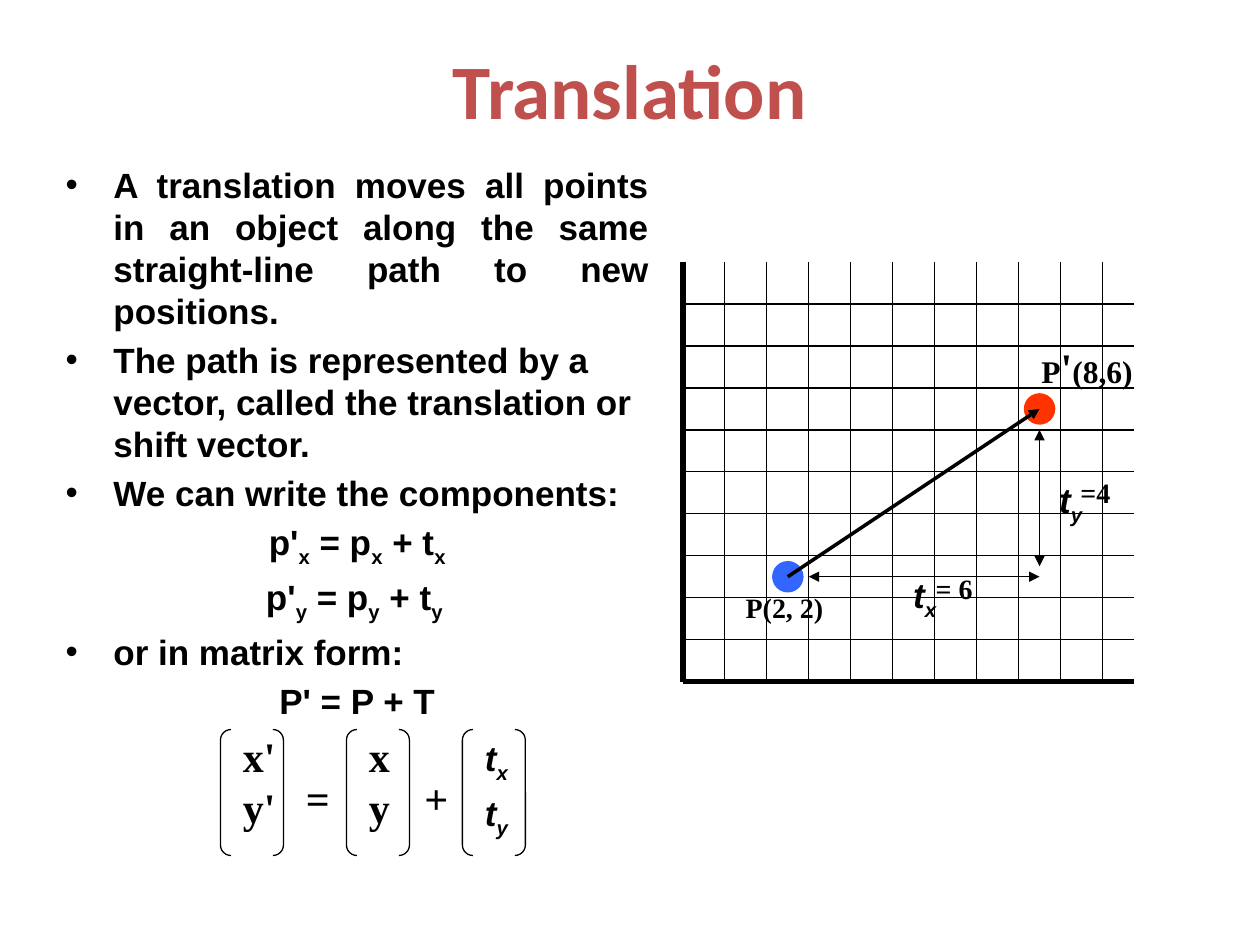
from pptx import Presentation
from pptx.dml.color import RGBColor
from pptx.enum.shapes import MSO_CONNECTOR, MSO_SHAPE
from pptx.enum.text import MSO_ANCHOR, MSO_AUTO_SIZE, PP_ALIGN
from pptx.oxml.ns import qn
from pptx.util import Inches, Pt
from lxml.etree import SubElement

BLACK = RGBColor(0x00, 0x00, 0x00)
BRICK = RGBColor(0xC0, 0x50, 0x4D)
BLUE = RGBColor(0x33, 0x66, 0xFF)
RED = RGBColor(0xFF, 0x33, 0x00)

TITLE = {"name": "Calibri", "size": Pt(44), "bold": True, "color": BRICK}
BODY = {"name": "Arial", "size": Pt(20), "bold": True, "color": BLACK}
SYMBOL = {**BODY, "italic": True}
MATRIX = {**BODY, "name": "Times New Roman", "size": Pt(24)}
POINT = {**MATRIX, "size": Pt(18)}
LABEL = {**MATRIX, "size": Pt(16)}

# Text, alignment, bulleted
BODY_ITEMS = [
    ("A translation moves all points in an object along the same "
     "straight-line path to new positions.", PP_ALIGN.JUSTIFY, True),
    ("The path is represented by a vector, called the translation or "
     "shift vector.", PP_ALIGN.LEFT, True),
    ("We can write the components:", PP_ALIGN.LEFT, True),
    ("p'_x_ = p_x_ + t_x_", PP_ALIGN.CENTER, False),
    ("p'_y_ = p_y_ + t_y _", PP_ALIGN.CENTER, False),
    ("or in matrix form:", PP_ALIGN.LEFT, True),
    ("P' = P + T", PP_ALIGN.CENTER, False),
]


def write(para, text, style):
    """Add runs to a paragraph; parts between underscores are subscripts."""
    for index, part in enumerate(text.split("_")):
        if not part:
            continue
        span = para.add_run()
        span.text = part
        for key, value in style.items():
            if key == "color":
                span.font.color.rgb = value
            else:
                setattr(span.font, key, value)
        if index % 2:
            span.font._element.set("baseline", "-25000")


def place(shape, left, top, width, height):
    shape.left, shape.top = Inches(left), Inches(top)
    shape.width, shape.height = Inches(width), Inches(height)


def add_label(page, box, lines, style, gap=0):
    """Add an unwrapped text box with one paragraph per line."""
    frame = page.shapes.add_textbox(*map(Inches, box)).text_frame
    frame.word_wrap = False
    frame.auto_size = MSO_AUTO_SIZE.SHAPE_TO_FIT_TEXT
    for index, line in enumerate(lines):
        para = frame.add_paragraph() if index else frame.paragraphs[0]
        if index:
            para.space_before = Pt(gap)
        write(para, line, style)
    return frame


def add_line(page, start, end, weight=0.75, arrows=()):
    line = page.shapes.add_connector(
        MSO_CONNECTOR.STRAIGHT, *map(Inches, (*start, *end)))
    line.line.color.rgb = BLACK
    line.line.width = Pt(weight)
    for arrow in arrows:
        SubElement(line.line._get_or_add_ln(), qn(f"a:{arrow}"), type="triangle")
    SubElement(line._element.spPr, qn("a:effectLst"))


def add_title(page, box):
    title = page.shapes.title
    place(title, *box)
    title.text_frame.vertical_anchor = MSO_ANCHOR.MIDDLE
    para = title.text_frame.paragraphs[0]
    para.alignment = PP_ALIGN.CENTER
    write(para, "Translation", TITLE)


def add_body(page, box):
    body = page.placeholders[1]
    place(body, *box)
    frame = body.text_frame
    frame.auto_size = MSO_AUTO_SIZE.NONE
    for index, (text, alignment, bulleted) in enumerate(BODY_ITEMS):
        para = frame.add_paragraph() if index else frame.paragraphs[0]
        para.alignment = alignment
        para.space_before = Pt(4 if index else 0)
        props = para._p.get_or_add_pPr()
        props.set("marL", str(Inches(0.38)))
        props.set("indent", str(Inches(-0.38)))
        if bulleted:
            SubElement(props, qn("a:buChar"), char="•")
        else:
            SubElement(props, qn("a:buNone"))
        write(para, text, BODY)


def add_matrix_equation(page, left, top):
    """Place three bracketed column vectors and the signs between them."""
    columns = [
        (0, 0.46, ["x'", "y'"], MATRIX, -0.04, 0),
        (1, 0.37, ["x", "y"], MATRIX, -0.04, 0),
        (1.92, 0.44, ["t_x_", "t_y_"], SYMBOL, 0.01, 4),
    ]
    for offset, width, lines, style, drop, gap in columns:
        bracket = page.shapes.add_shape(
            MSO_SHAPE.DOUBLE_BRACKET,
            *map(Inches, (left + offset, top, 0.5, 1)))
        bracket.adjustments[0] = 0.167
        bracket.shadow.inherit = False
        bracket.fill.background()
        bracket.line.color.rgb = BLACK
        bracket.line.width = Pt(0.75)
        add_label(page, (left + offset + 0.08, top + drop, width, 0.9),
                  lines, style, gap)
    signs = add_label(page, (left + 0.58, top + 0.29, 1.42, 0.5), [], MATRIX)
    signs.word_wrap = True
    para = signs.paragraphs[0]
    tabs = SubElement(para._p.get_or_add_pPr(), qn("a:tabLst"))
    SubElement(tabs, qn("a:tab"), pos=str(Inches(0.94)), algn="l")
    write(para, "=\t+", MATRIX)


def add_plot(page, left, top, width, height):
    """Draw the grid, the two points and the shift between them."""
    rows = 10
    cell = height / rows
    right, bottom = left + width, top + height

    def at(column, row):
        return left + column * cell, bottom - row * cell

    add_line(page, (left, top), (left, bottom), 3)
    add_line(page, (left, bottom), (right, bottom), 3)
    for column in range(1, int(width / cell) + 1):
        add_line(page, at(column, rows), at(column, 0))
    for row in range(1, rows):
        add_line(page, at(0, row), (right, at(0, row)[1]))

    start, end, size = (2.5, 2.5), (8.5, 6.5), 0.25
    for point, color in ((start, BLUE), (end, RED)):
        x, y = at(*point)
        dot = page.shapes.add_shape(
            MSO_SHAPE.OVAL,
            *map(Inches, (x - size / 2, y - size / 2, size, size)))
        dot.shadow.inherit = False
        dot.fill.solid()
        dot.fill.fore_color.rgb = color
        dot.line.fill.background()

    both = ("headEnd", "tailEnd")
    add_line(page, at(*start), at(*end), 2, ["tailEnd"])
    add_line(page, at(3, 2.5), at(8.5, 2.5), arrows=both)
    add_line(page, at(8.5, 2.75), at(8.5, 6), arrows=both)

    labels = [
        ("t_x_", 5.19, 2.73, 0.39, 0.43, SYMBOL),
        ("t_y_", 8.67, 4.98, 0.39, 0.43, SYMBOL),
        ("P(2, 2)", 1.2, 2.31, 0.82, 0.37, LABEL),
        ("= 6", 5.73, 2.76, 0.49, 0.37, LABEL),
        ("=4", 9.18, 5.07, 0.44, 0.37, LABEL),
    ]
    for text, column, row, wide, high, style in labels:
        add_label(page, (*at(column, row), wide, high), [text], style)
    frame = add_label(page, (*at(8.25, 8.25), 1.17, 0.5), ["P"], POINT)
    frame.word_wrap = True
    write(frame.paragraphs[0], "'", MATRIX)
    write(frame.paragraphs[0], "(8,6)", POINT)


def main():
    deck = Presentation()
    deck.slide_width, deck.slide_height = Inches(10), Inches(7.5)
    page = deck.slides.add_slide(deck.slide_layouts[1])
    add_title(page, (0.75, 0.08, 8.5, 1.25))
    add_body(page, (0.42, 1.25, 4.83, 5.42))
    add_plot(page, 5.42, 2.08, 3.58, 3.33)
    add_matrix_equation(page, 1.75, 5.79)
    deck.save("out.pptx")


if __name__ == "__main__":
    main()
